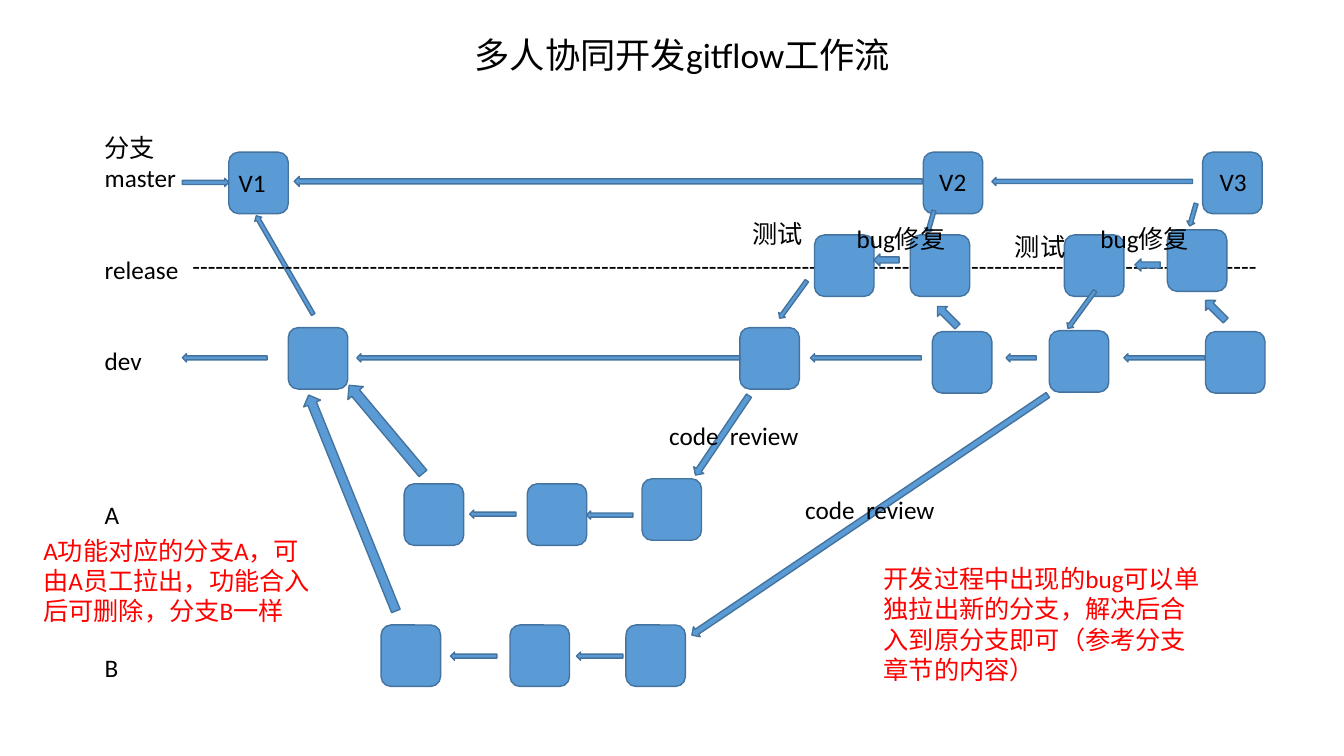
"""Build the gitflow teamwork slide."""
from typing import NamedTuple

from pptx import Presentation
from pptx.dml import color
from pptx.enum import shapes, text
from pptx.util import Pt

BLUE, EDGE, BLACK, RED = "5B9BD5", "43739E", "000000", "FF0000"
BOX_W, BOX_H = 42.5, 43.9
LINE = 21.97


class Arrow(NamedTuple):
    """A left arrow by its unrotated frame and its turn in degrees."""
    left: float
    top: float
    width: float
    turn: float = 0
    height: float = 5.8


class Note(NamedTuple):
    """A text frame with one paragraph per line and the gaps above them."""
    lines: tuple[str, ...]
    left: float
    top: float
    width: float
    height: float = 28.8
    ink: str = BLACK
    gaps: tuple[int, ...] = (0,)
    size: float = 18
    frame: dict = {}
    para: dict = {}


ROWS = [
    (108.7, (163.4, 659.5, 859)),
    (167.8, (581.8, 650.2, 760.3)),
    (164.2, (833.8,)),
    (234, (205.9, 528.5)),
    (236.9, (666, 861.1)),
    (236.2, (749.5,)),
    (345.6, (288.7, 376.6)),
    (342, (458.6,)),
    (446.4, (272.2, 364.3, 447.1)),
]

LAUNCH = Arrow(162.7, 186.5, 81.4, 60)
RULE = Note(("-" * 138,), 130.3, 175, 810)

ARROWS = [
    Arrow(130.3, 127.4, 33.1, 180),
    Arrow(210.2, 126, 448.6, 0, 7.2),
    Arrow(708.5, 126.7, 143.3),
    Arrow(656.6, 155.5, 16.6, 286),
    Arrow(843.8, 150.5, 16.6, 286),
    Arrow(624.2, 181.4, 18, 0, 8.6),
    Arrow(810.7, 185, 18, 0, 8.6),
    Arrow(550.1, 211, 33.1, 306),
    Arrow(756, 218.2, 33.1, 306),
    Arrow(666.7, 221, 20.2, 45, 10.1),
    Arrow(858.2, 216.7, 20.2, 45, 10.1),
    *(Arrow(left, 252.7, width) for left, width in (
        (130.3, 60.5), (254.9, 273.6), (578.9, 79.2),
        (718.6, 21.6), (802.8, 57.6))),
    Arrow(234.7, 299.5, 82.1, 50, 14.4),
    Arrow(168.5, 352.8, 166.3, 68, 13),
    Arrow(481.7, 306.7, 68.4, 304, 8.6),
    Arrow(468, 363.6, 306.7, 326, 8.6),
    Arrow(335.5, 364.3, 33.1),
    Arrow(419, 365, 33.1),
    Arrow(321.8, 465.8, 33.1),
    Arrow(411.8, 465.8, 33.1),
]

NOTES = [
    Note(("多人协同开发gitflow工作流",), 127.4, 18.7, 720, 38.9, size=25.2,
         frame={"vertical_anchor": text.MSO_ANCHOR.BOTTOM,
                "auto_size": text.MSO_AUTO_SIZE.NONE},
         para={"alignment": text.PP_ALIGN.CENTER, "line_spacing": 0.9}),
    Note(("分支", "master", "release", "dev", "A", "B"),
         67.7, 90.7, 75.6, 421.9, gaps=(0, 0, 2, 2, 4, 4)),
    Note(("V1",), 163.4, 115.9, 37.4),
    Note(("V2",), 663.8, 115.2, 37.4),
    Note(("V3",), 864, 115.2, 37.4),
    Note(("测试",), 530.6, 152.6, 71.3),
    Note(("测试",), 717.8, 162, 56.9),
    Note(("bug修复",), 604.8, 156.2, 87.8),
    Note(("bug修复",), 779, 156.2, 84.2),
    Note(("code  review",), 470.9, 296.6, 110.9),
    Note(("code  review",), 568.1, 349.9, 110.9),
    Note(("A功能对应的分支A，可由A员工拉出，功能合入后可删除，分支B一样",),
         23.8, 378.7, 212.4, 72.7, RED),
    Note(("开发过程中出现的bug可以单独拉出新的分支，解决后合入到原分支即可"
          "（参考分支章节的内容）",), 624.2, 398.9, 244.1, 94.3, RED),
]


def put(item: object, values: dict) -> None:
    """Set every attribute named in values on item."""
    for name, value in values.items():
        setattr(item, name, value)


def hue(code: str) -> color.RGBColor:
    """Turn a hex string into a colour."""
    return color.RGBColor.from_string(code)


def block(slide, kind, left: float, top: float, width: float,
          height: float, turn: float = 0) -> None:
    """Draw one blue preset shape."""
    shape = slide.shapes.add_shape(
        kind, Pt(left), Pt(top), Pt(width), Pt(height))
    shape.rotation = turn
    shape.shadow.inherit = False
    shape.fill.solid()
    shape.fill.fore_color.rgb = hue(BLUE)
    shape.line.color.rgb = hue(EDGE)
    shape.line.width = Pt(1)


def point(slide, arrow: Arrow) -> None:
    """Draw one block arrow."""
    block(slide, shapes.MSO_SHAPE.LEFT_ARROW, arrow.left, arrow.top,
          arrow.width, arrow.height, arrow.turn)


def write(slide, note: Note) -> None:
    """Draw one text frame."""
    frame = slide.shapes.add_textbox(
        Pt(note.left), Pt(note.top), Pt(note.width), Pt(note.height)
    ).text_frame
    put(frame, {"word_wrap": True,
                "auto_size": text.MSO_AUTO_SIZE.SHAPE_TO_FIT_TEXT,
                "text": "\n".join(note.lines)} | note.frame)
    for para, gap in zip(frame.paragraphs, note.gaps):
        put(para, {"space_before": Pt(gap * LINE)} | note.para)
        font = para.runs[0].font
        put(font, {"name": "Calibri", "size": Pt(note.size)})
        font.color.rgb = hue(note.ink)


def main() -> None:
    """Draw the slide and save it."""
    deck = Presentation()
    put(deck, {"slide_width": Pt(960), "slide_height": Pt(540)})
    slide = deck.slides.add_slide(deck.slide_layouts[6])
    point(slide, LAUNCH)
    write(slide, RULE)
    for top, lefts in ROWS:
        for left in lefts:
            block(slide, shapes.MSO_SHAPE.ROUNDED_RECTANGLE,
                  left, top, BOX_W, BOX_H)
    for arrow in ARROWS:
        point(slide, arrow)
    for note in NOTES:
        write(slide, note)
    deck.save("out.pptx")


main()
